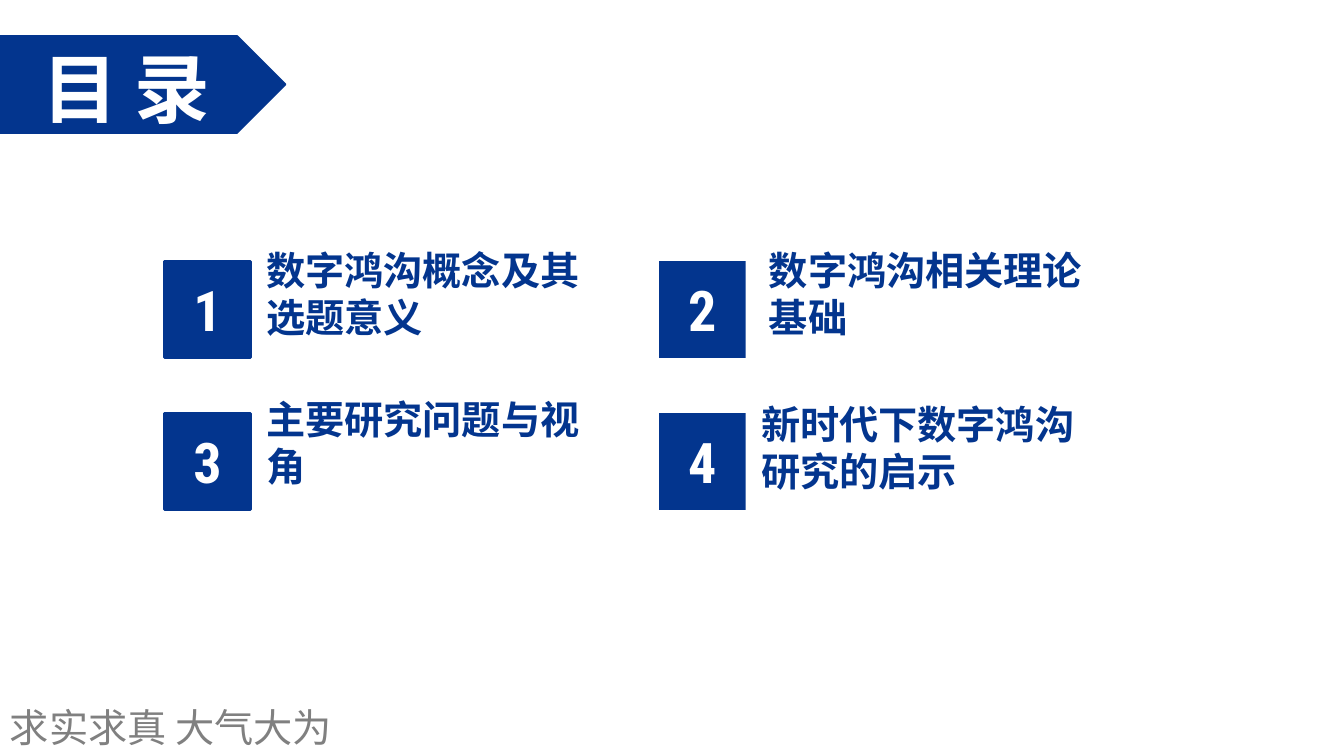
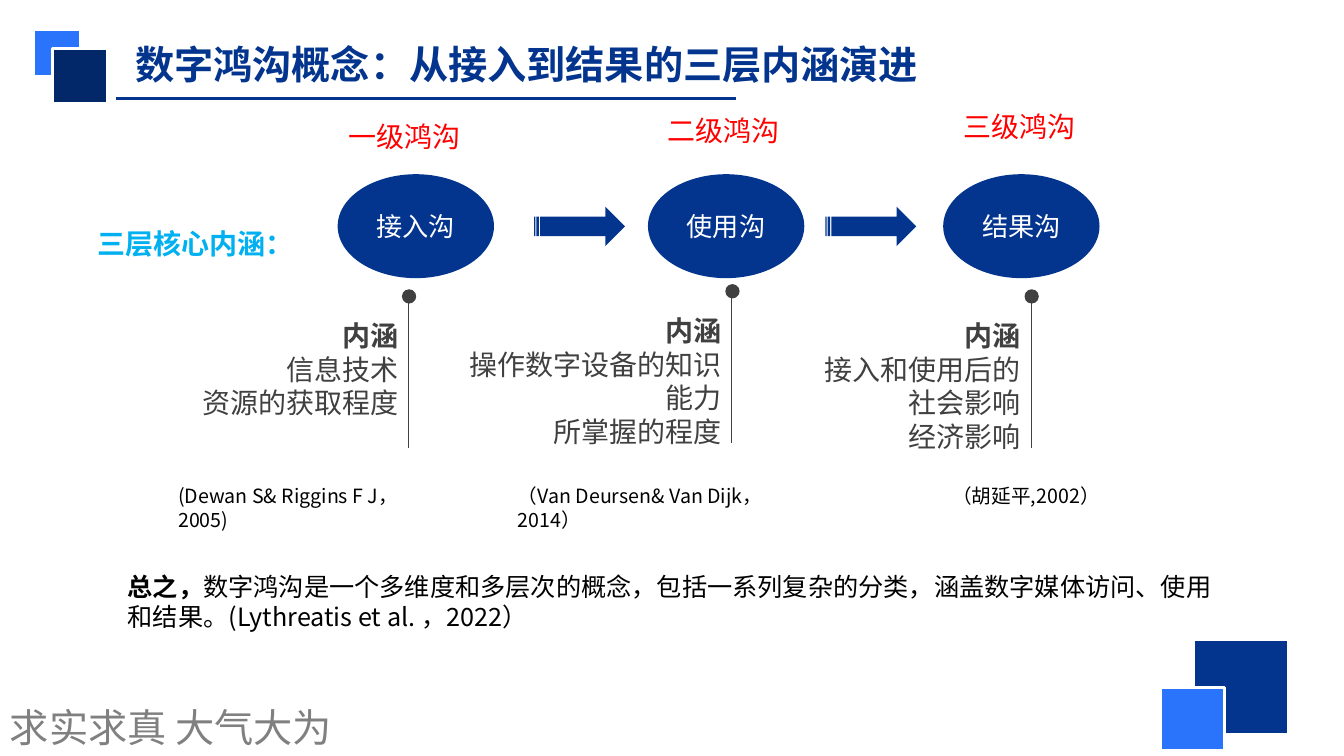
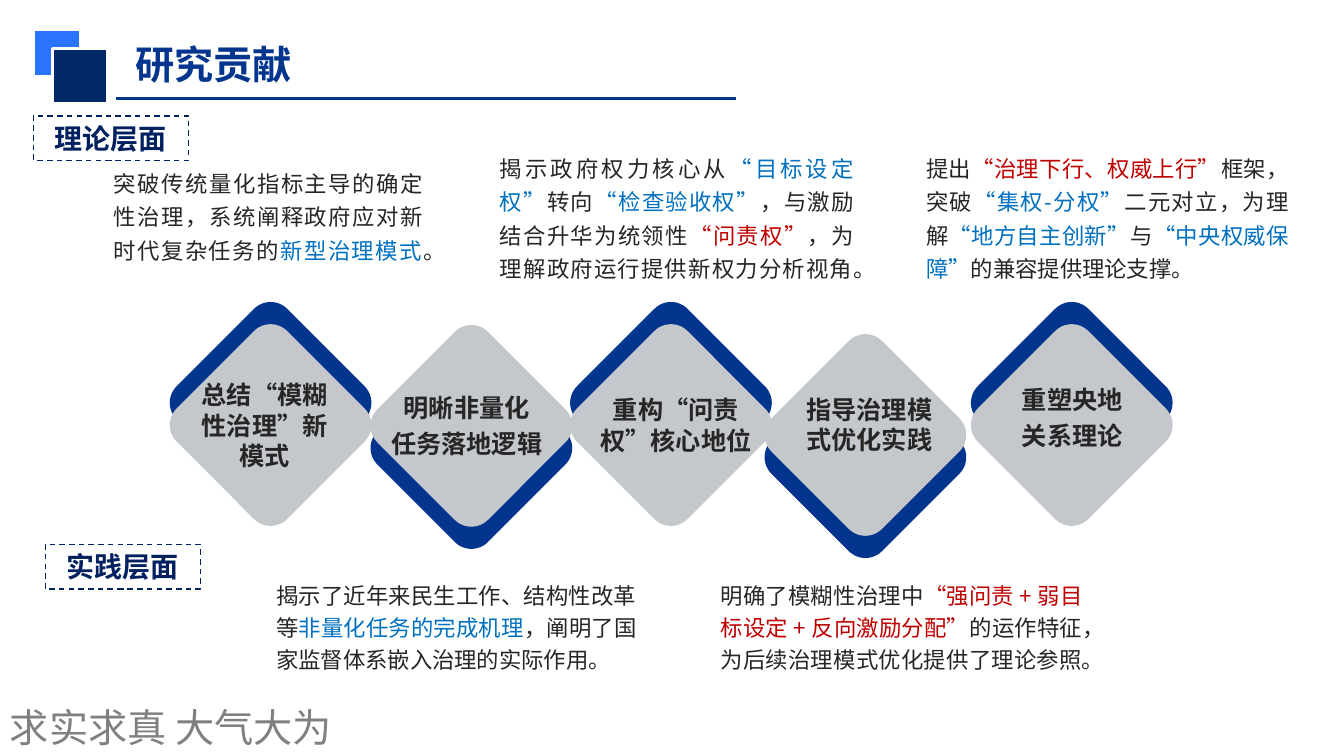
from dataclasses import dataclass

from lxml.etree import Element, SubElement
from pptx import Presentation
from pptx.dml.color import RGBColor
from pptx.enum.dml import MSO_LINE_DASH_STYLE as Dash
from pptx.enum.shapes import MSO_CONNECTOR_TYPE as Connector, MSO_SHAPE as Preset
from pptx.enum.text import MSO_ANCHOR as Anchor, MSO_AUTO_SIZE as AutoSize, PP_ALIGN as Align
from pptx.oxml.ns import qn
from pptx.util import Cm, Pt


@dataclass(frozen=True)
class Theme:
    blue: str = "03358E"
    bright: str = "2974FA"
    navy: str = "02286A"
    frame: str = "002060"
    sky: str = "00B0F0"
    accent: str = "0070C0"
    alert: str = "C00000"
    red: str = "FF0000"
    silver: str = "C4C7CB"
    gray: str = "808080"
    dark: str = "404040"
    ink: str = "262626"
    black: str = "000000"
    white: str = "FFFFFF"
    font: str = "Noto Sans CJK SC"
    item_font: str = "Calibri"
    number_font: str = "Roboto Condensed"
    banner: float = 54
    number: float = 40
    title: float = 28
    heading: float = 20
    stage: float = 18.7
    body: float = 18
    note: float = 16
    citation: float = 14


THEME = Theme()


@dataclass(frozen=True)
class Box:
    """A rectangle in centimetres."""
    left: float
    top: float
    width: float
    height: float

    def inner(self, dx, dy, width, height):
        return Box(self.left + dx, self.top + dy, width, height)

    @property
    def lengths(self):
        return Cm(self.left), Cm(self.top), Cm(self.width), Cm(self.height)


@dataclass(frozen=True)
class Stage:
    left: float
    name: str
    level: str
    level_offset: tuple
    pin: tuple
    meaning: tuple
    citation: str
    citation_left: float


@dataclass(frozen=True)
class Contribution:
    left: float
    top: float
    rises: bool
    label: tuple
    label_offset: tuple
    label_width: float
    note_box: Box
    note: tuple


CONTENTS = (
    ("数字鸿沟概念及其选题意义", 2.16, -0.38),
    ("数字鸿沟相关理论基础", 2.36, -0.38),
    ("主要研究问题与视角", 2.16, -0.45),
    ("新时代下数字鸿沟研究的启示", 2.16, -0.33),
)

STAGES = (
    Stage(8.51, "接入沟", "一级鸿沟", (0.02, -1.52), (10.29, 7.29),
          ("信息技术", "资源的获取程度"), "(Dewan S& Riggins F J，2005)", 4.24),
    Stage(16.33, "使用沟", "二级鸿沟", (0.23, -1.65), (18.44, 7.16),
          ("操作数字设备的知识", "能力", "所掌握的程度"), "（Van Deursen& Van Dijk，2014）", 12.8),
    Stage(23.77, "结果沟", "三级鸿沟", (0.26, -1.75), (25.98, 7.29),
          ("接入和使用后的", "社会影响", "经济影响"), "（胡延平,2002）", 23.75),
)

CONTRIBUTIONS = (
    Contribution(
        4.85, 8.74, True, ("总结“模糊性治理”新模式",), (-0.25, 0), 4.14,
        Box(2.87, 4.11, 7.8, 2.57),
        (("突破传统量化指标主导的确定性治理，系统阐释政府应对新时代复杂任务的", THEME.ink),
         ("新型治理模式", THEME.accent), ("。", THEME.ink))),
    Contribution(
        9.91, 8.76, False, ("明晰非量化", "任务落地逻辑"), (-0.51, 0), 4.72,
        Box(6.96, 14.53, 9.09, 2.46),
        (("揭示了近年来民生工作、结构性改革等", THEME.ink),
         ("非量化任务的完成机理", THEME.accent),
         ("，阐明了国家监督体系嵌入治理的实际作用。", THEME.ink))),
    Contribution(
        14.94, 8.74, True, ("重构“问责权”核心地位",), (-0.23, 0), 4.65,
        Box(12.6, 3.73, 8.92, 3.43),
        (("揭示政府权力核心从", THEME.ink), ("“目标设定权”", THEME.accent),
         ("转向", THEME.ink), ("“检查验收权”", THEME.accent),
         ("，与激励结合升华为统领性", THEME.ink), ("“问责权”", THEME.alert),
         ("，为理解政府运行提供新权力分析视角。", THEME.ink))),
    Contribution(
        19.84, 8.99, False, ("指导治理模式优化实践",), (0.1, -0.26), 3.94,
        Box(18.16, 14.53, 9.12, 3.28),
        (("明确了模糊性治理中", THEME.ink),
         ("“强问责 + 弱目标设定 + 反向激励分配”", THEME.alert),
         ("的运作特征，为后续治理模式优化提供了理论参照。", THEME.ink))),
    Contribution(
        25.04, 8.74, True, ("重塑央地", "关系理论"), (0.03, -0.19), 3.91,
        Box(23.34, 3.73, 9.14, 3.43),
        (("提出", THEME.ink), ("“治理下行、权威上行”", THEME.alert),
         ("框架，突破", THEME.ink), ("“集权-分权”", THEME.accent),
         ("二元对立，为理解", THEME.ink), ("“地方自主创新”", THEME.accent),
         ("与", THEME.ink), ("“中央权威保障”", THEME.accent),
         ("的兼容提供理论支撑。", THEME.ink))),
)


def rgb(colour):
    return RGBColor.from_string(colour)


def write(shape, lines, size, colour, bold=False, font=THEME.font, align=Align.LEFT,
          anchor=Anchor.TOP, insets=(0.25, 0.13), gap=0, spacing=None):
    """Fill a shape with one paragraph per line and return the paragraphs."""
    frame = shape.text_frame
    frame.word_wrap = True
    frame.vertical_anchor = anchor
    frame.margin_left = frame.margin_right = Cm(insets[0])
    frame.margin_top = frame.margin_bottom = Cm(insets[1])
    for index, line in enumerate(lines):
        paragraph = frame.add_paragraph() if index else frame.paragraphs[0]
        paragraph.alignment = align
        if spacing:
            paragraph.line_spacing = spacing
        if index and gap:
            paragraph.space_before = Pt(gap)
        paragraph.font.name = font
        paragraph.font.size = Pt(size)
        paragraph.font.bold = bold
        paragraph.font.color.rgb = rgb(colour)
        if line:
            paragraph.add_run().text = line
    return frame.paragraphs


def add_text(slide, box, lines, size, colour, **options):
    shape = slide.shapes.add_textbox(*box.lengths)
    return write(shape, lines, size, colour, **options)


def add_preset(slide, preset, box, fill=None, line=None, line_width=1):
    shape = slide.shapes.add_shape(preset, *box.lengths)
    shape.shadow.inherit = False
    if fill:
        shape.fill.solid()
        shape.fill.fore_color.rgb = rgb(fill)
    else:
        shape.fill.background()
    if line:
        shape.line.color.rgb = rgb(line)
        shape.line.width = Pt(line_width)
    else:
        shape.line.fill.background()
    return shape


def add_line(slide, start, end, colour, width):
    line = slide.shapes.add_connector(
        Connector.STRAIGHT, Cm(start[0]), Cm(start[1]), Cm(end[0]), Cm(end[1]))
    line.line.color.rgb = rgb(colour)
    line.line.width = Pt(width)
    SubElement(line.element.spPr, qn("a:effectLst"))


def place_title(slide, box, text, size, colour, **options):
    title = slide.shapes.title
    title.left, title.top, title.width, title.height = box.lengths
    title.text_frame.auto_size = AutoSize.NONE
    write(title, [text], size, colour, bold=True, anchor=Anchor.MIDDLE, **options)


def add_square_pair(slide, back, front):
    for box, colour in (back, front):
        add_preset(slide, Preset.RECTANGLE, box, colour, THEME.white, 2)


def add_header(slide, box, text):
    add_square_pair(slide, (box.inner(0, 0, 1.19, 1.19), THEME.bright),
                    (box.inner(0.48, 0.48, 1.4, 1.4), THEME.navy))
    baseline = box.top + 1.75
    add_line(slide, (box.left + 2.08, baseline), (box.left + 17.7, baseline), THEME.blue, 2.25)
    place_title(slide, box.inner(2.39, 0.17, 22, 1.4), text, THEME.title, THEME.blue,
                insets=(0.18, 0.1))


def add_motto(slide, layout):
    """Put the motto on the layout, so that every slide shows it."""
    box = slide.shapes.add_textbox(*Box(0, 17.6, 10, 1.45).lengths)
    write(box, ["求实求真 大气大为"], THEME.title, THEME.gray)
    layout.shapes.element.append(box.element)


def add_contents_banner(slide, box):
    banner = add_preset(slide, Preset.PENTAGON, box, THEME.blue, THEME.blue, 1.5)
    slide.shapes.title.element.addprevious(banner.element)
    place_title(slide, box.inner(0.48, 0, 5.4, 2.57), "目 录", THEME.banner, THEME.white,
                align=Align.CENTER, insets=(0, 0))


def add_contents_item(slide, box, number, text, dx, dy, outline):
    square = add_preset(slide, Preset.RECTANGLE, box, THEME.blue, outline, 2.25)
    write(square, [str(number)], THEME.number, THEME.white, bold=True,
          font=THEME.number_font, align=Align.CENTER, anchor=Anchor.MIDDLE)
    add_text(slide, box.inner(dx, dy, 9.17, 2.59), [text], THEME.title, THEME.blue,
             bold=True, font=THEME.item_font, insets=(0.41, 0))


def build_contents(slide):
    add_contents_banner(slide, Box(0, 0.91, 7.19, 2.44))
    first = Box(4.14, 6.58, 2.18, 2.44)
    for index, (text, dx, dy) in enumerate(CONTENTS):
        row, column = divmod(index, 2)
        box = first.inner(column * 12.47, row * 3.83, first.width, first.height)
        add_contents_item(slide, box, index + 1, text, dx, dy, None if column else THEME.blue)


def add_pin(slide, x, y, meaning):
    """Draw a dot at height y with a stem below it and the meaning to its left."""
    add_preset(slide, Preset.OVAL, Box(x - 0.16, y, 0.36, 0.36), THEME.dark)
    add_line(slide, (x, y + 0.33), (x, y + 4.01), THEME.dark, 0.5)
    paragraphs = add_text(slide, Box(x - 7, y + 0.61, 7, 3.68), ("内涵", *meaning),
                          THEME.heading, THEME.dark, align=Align.RIGHT)
    paragraphs[0].font.bold = True


def add_stage(slide, box, stage):
    oval = add_preset(slide, Preset.OVAL, box, THEME.blue)
    write(oval, [stage.name], THEME.stage, THEME.white, align=Align.CENTER, anchor=Anchor.MIDDLE)
    add_text(slide, box.inner(*stage.level_offset, 4.27, 1.12), [stage.level],
             THEME.heading, THEME.red)
    add_pin(slide, *stage.pin, stage.meaning)
    add_text(slide, Box(stage.citation_left, 12.07, 7.1, 1.45), [stage.citation],
             THEME.citation, THEME.black)


def add_summary(slide, box):
    paragraph, = add_text(slide, box, [""], THEME.body, THEME.black)
    lead = paragraph.add_run()
    lead.text = "总之，"
    lead.font.bold = True
    paragraph.add_run().text = (
        "数字鸿沟是一个多维度和多层次的概念，包括一系列复杂的分类，"
        "涵盖数字媒体访问、使用和结果。(Lythreatis et al. ，2022）")


def build_concept(slide):
    add_header(slide, Box(0.84, 0.74, 24.4, 1.88), "数字鸿沟概念：从接入到结果的三层内涵演进")
    add_square_pair(slide, (Box(30.07, 16.13, 2.41, 2.39), THEME.blue),
                    (Box(29.26, 17.32, 1.6, 1.6), THEME.bright))
    add_text(slide, Box(2.21, 5.59, 5.46, 1.12), ["三层核心内涵："], THEME.heading,
             THEME.sky, bold=True)
    for stage in STAGES:
        add_stage(slide, Box(stage.left, 4.39, 3.94, 2.62), stage)
    for left in (13.46, 20.8):
        add_preset(slide, Preset.STRIPED_RIGHT_ARROW, Box(left, 5.21, 2.29, 0.99), THEME.blue)
    add_summary(slide, Box(2.97, 14.27, 27.94, 1.8))


def add_diamond(slide, box, fill):
    diamond = add_preset(slide, Preset.ROUNDED_RECTANGLE, box, fill)
    diamond.adjustments[0] = 0.15
    diamond.rotation = 315


def add_contribution(slide, box, item):
    shift = -0.56 if item.rises else 0.56
    add_diamond(slide, box.inner(0, shift, box.width, box.height), THEME.blue)
    add_diamond(slide, box, THEME.silver)
    note, = add_text(slide, item.note_box, [""], THEME.note, THEME.ink, align=Align.JUSTIFY,
                     insets=(0, 0), spacing=1.25 if item.rises else 1.2)
    for text, colour in item.note:
        run = note.add_run()
        run.text = text
        if colour != THEME.ink:
            run.font.color.rgb = rgb(colour)


def add_contribution_label(slide, box, item):
    dx, dy = item.label_offset
    add_text(slide, box.inner(dx, dy, item.label_width, box.height), item.label, THEME.body,
             THEME.ink, bold=True, align=Align.CENTER, anchor=Anchor.MIDDLE, gap=4)


def add_level_tag(slide, box, text):
    tag = add_preset(slide, Preset.RECTANGLE, box, line=THEME.frame)
    tag.line.dash_style = Dash.DASH
    write(tag, [text], THEME.heading, THEME.frame, bold=True, align=Align.CENTER)


def build_contributions(slide):
    add_header(slide, Box(0.84, 0.74, 24.4, 1.88), "研究贡献")
    for add_part in (add_contribution, add_contribution_label):
        for item in CONTRIBUTIONS:
            add_part(slide, Box(item.left, item.top, 3.94, 3.94), item)
    add_level_tag(slide, Box(0.84, 2.92, 3.91, 1.12), "理论层面")
    add_level_tag(slide, Box(1.14, 13.72, 3.91, 1.12), "实践层面")


def set_east_asian_font(root):
    """Name the Chinese typeface beside each Latin one."""
    for latin in list(root.iter(qn("a:latin"))):
        latin.addnext(Element(qn("a:ea"), typeface=THEME.font))


def main():
    presentation = Presentation()
    presentation.slide_width, presentation.slide_height = Cm(33.87), Cm(19.05)
    layout = presentation.slide_layouts.get_by_name("Title Only")
    for placeholder in list(layout.placeholders)[1:]:
        layout.shapes.element.remove(placeholder.element)
    builders = (build_contents, build_concept, build_contributions)
    slides = [presentation.slides.add_slide(layout) for _ in builders]
    add_motto(slides[0], layout)
    for build, slide in zip(builders, slides):
        build(slide)
    for owner in (layout, *slides):
        set_east_asian_font(owner.element)
    presentation.save("out.pptx")


if __name__ == "__main__":
    main()
